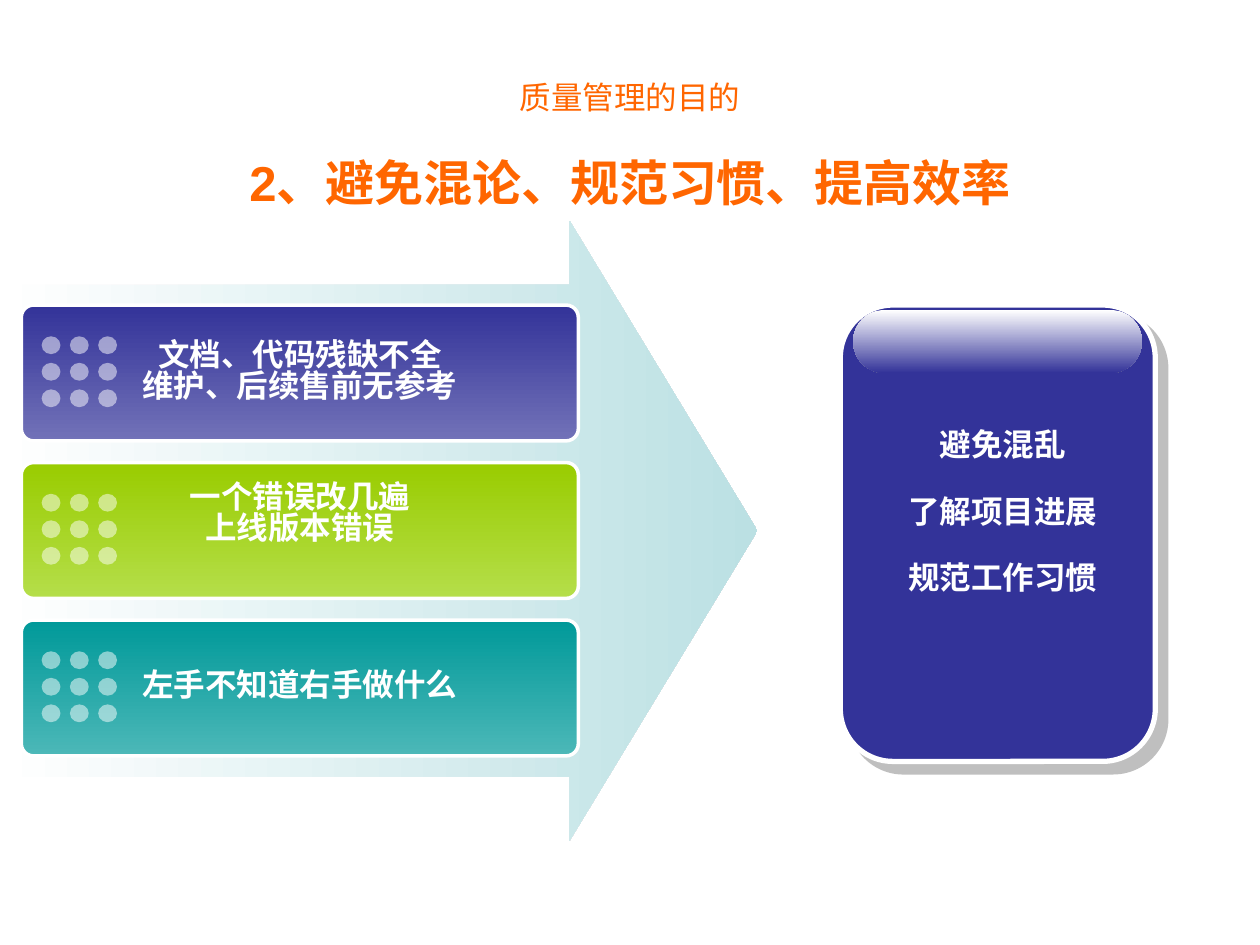
from itertools import product
from lxml import etree
from pptx import Presentation
from pptx import util as u
from pptx.dml.color import RGBColor
from pptx.enum import shapes, text
from pptx.oxml.ns import qn

WHITE, ORANGE, NAVY = "FFFFFF", "FF6600", "333399"
KIND = shapes.MSO_SHAPE

TITLE = [("质量管理的目的", 18, False), ("2、避免混论、规范习惯、提高效率", 28, True)]
# lines, top colour, bottom colour, extra bottom inset in cm
BARS = [
    (["文档、代码残缺不全", "维护、后续售前无参考"], NAVY, "7272B8", 0),
    (["一个错误改几遍", "上线版本错误"], "99CC00", "B5DE4A", 0.62),
    (["左手不知道右手做什么"], "009999", "4CB8B8", 0),
]
RESULTS = ["避免混乱", "了解项目进展", "规范工作习惯"]

BAR_LEFT, BAR_TOP, BAR_WIDTH, BAR_HEIGHT, BAR_STEP = 0.43, 6.15, 11.23, 2.74, 3.175
DOT_LEFT, DOT_TOP, DOT_STEP_X, DOT_STEP_Y = 0.84, 0.63, 0.57, 0.535
DOT_WIDTH, DOT_HEIGHT = 0.38, 0.36
BODY_FORMAT = {"alignment": text.PP_ALIGN.CENTER, "line_spacing": 0.8}


def color(value):
    return RGBColor.from_string(value)


def box(values):
    return [u.Cm(value) for value in values]


def add_shape(parent, kind, place, fill, angle=0, line=None, adjust=()):
    """Add a preset shape; a pair of colours as fill makes a gradient."""
    shape = parent.shapes.add_shape(kind, *box(place))
    shape.shadow.inherit = False
    for index, value in enumerate(adjust):
        shape.adjustments[index] = value
    if isinstance(fill, tuple):
        shape.fill.gradient()
        shape.fill.gradient_angle = angle
        for stop, value, position in zip(shape.fill.gradient_stops, fill, (0, 1)):
            stop.color.rgb = color(value)
            stop.position = position
    else:
        shape.fill.solid()
        shape.fill.fore_color.rgb = color(fill)
    if line:
        shape.line.color.rgb = color(WHITE)
        shape.line.width = u.Pt(line)
    else:
        shape.line.fill.background()
    return shape


def set_alpha(color_element, percent):
    etree.SubElement(color_element, qn("a:alpha"), val=str(percent * 1000))


def add_shadow(shape, value, percent, distance, angle):
    effects = shape._element.spPr.find(qn("a:effectLst"))
    shadow = etree.SubElement(effects, qn("a:outerShdw"), blurRad="0",
                              dist=str(u.Pt(distance)), dir=str(angle * 60000),
                              algn="ctr", rotWithShape="0")
    set_alpha(etree.SubElement(shadow, qn("a:srgbClr"), val=value), percent)


def write(shape, lines, value, gap=0, wrap=True, anchor=text.MSO_ANCHOR.MIDDLE, **formats):
    """Write (words, size, bold) lines, with gap points between paragraphs."""
    frame = shape.text_frame
    frame.word_wrap = wrap
    frame.vertical_anchor = anchor
    for index, (words, size, bold) in enumerate(lines):
        paragraph = frame.add_paragraph() if index else frame.paragraphs[0]
        paragraph.space_before = u.Pt(gap if index else 0)
        for name, setting in formats.items():
            setattr(paragraph, name, setting)
        run = paragraph.add_run()
        run.text = words
        font = {"name": "Arial", "size": u.Pt(size), "bold": bold}
        for name, setting in font.items():
            setattr(run.font, name, setting)
        run.font.color.rgb = color(value)


def body(lines):
    return [(words, 18, True) for words in lines]


def add_dots(slide, top):
    group = slide.shapes.add_group_shape()
    for row, column in product(range(3), repeat=2):
        place = (DOT_LEFT + column * DOT_STEP_X, top + row * DOT_STEP_Y,
                 DOT_WIDTH, DOT_HEIGHT)
        dot = add_shape(group, KIND.OVAL, place, WHITE)
        set_alpha(dot._element.spPr.find(qn("a:solidFill"))[0], 50)


def main():
    presentation = Presentation()
    presentation.slide_width, presentation.slide_height = box((25.4, 19.05))
    slide = presentation.slides.add_slide(presentation.slide_layouts[6])

    add_shape(slide, KIND.RIGHT_ARROW, (0, 4.45, 15.27, 12.5),
              (WHITE, "BBE0E3"), adjust=(0.793, 0.303))

    for index, (lines, top_color, bottom_color, inset) in enumerate(BARS):
        top = BAR_TOP + index * BAR_STEP
        bar = add_shape(slide, KIND.ROUNDED_RECTANGLE,
                        (BAR_LEFT, top, BAR_WIDTH, BAR_HEIGHT),
                        (top_color, bottom_color), 270, 2, (0.091,))
        write(bar, body(lines), WHITE, wrap=False, **BODY_FORMAT)
        bar.text_frame.margin_bottom = u.Cm(0.13 + inset)
        add_dots(slide, top + DOT_TOP)

    panel = slide.shapes.add_group_shape()
    card = add_shape(panel, KIND.ROUNDED_RECTANGLE, (16.94, 6.15, 6.35, 9.2),
                     NAVY, line=3, adjust=(0.167,))
    add_shadow(card, "808080", 50, 8.5, 45)
    add_shape(panel, KIND.ROUNDED_RECTANGLE, (17.2, 6.25, 5.82, 1.27),
              (WHITE, NAVY), 270, adjust=(0.5,))

    results = slide.shapes.add_textbox(*box((17.78, 8.59, 4.88, 4.06)))
    write(results, body(RESULTS), WHITE, gap=20.8,
          anchor=text.MSO_ANCHOR.TOP, **BODY_FORMAT)

    title = slide.shapes.add_textbox(*box((1.9, 1.32, 21.6, 3.18)))
    write(title, TITLE, ORANGE, gap=21, alignment=text.PP_ALIGN.CENTER)

    presentation.save("out.pptx")


if __name__ == "__main__":
    main()
